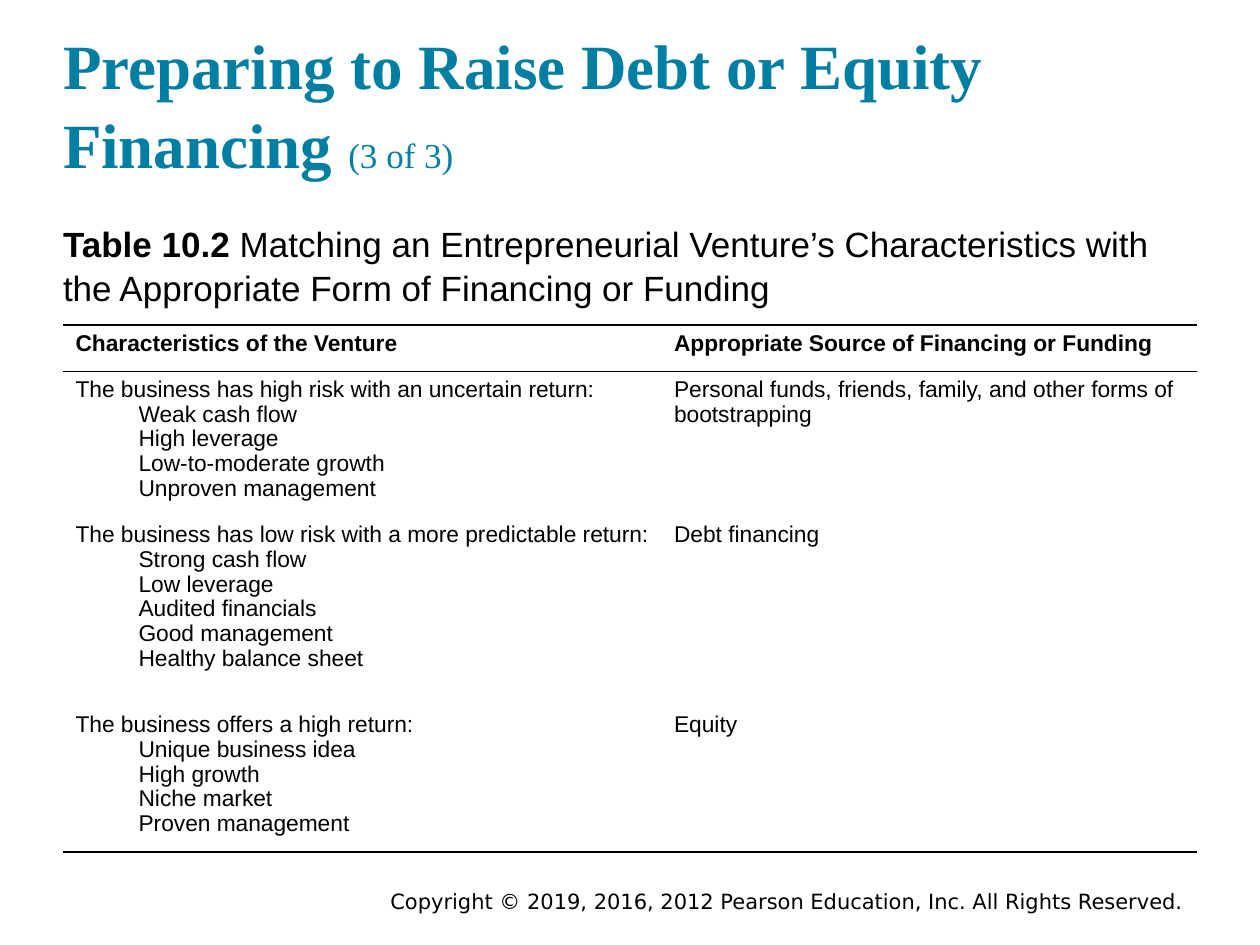
from lxml.etree import SubElement
from pptx import Presentation
from pptx.dml.color import RGBColor
from pptx.enum.text import MSO_ANCHOR, MSO_AUTO_SIZE, PP_ALIGN
from pptx.oxml.ns import qn
from pptx.util import Inches, Pt

COLORS = {"title": "007FA3", "text": "000000", "paper": "FFFFFF"}
FONTS = {"title": "Times New Roman", "body": "Arial", "footer": "DejaVu Sans"}
HEADERS = ["Characteristics of the Venture", "Appropriate Source of Financing or Funding"]
VENTURES = [
    ("The business has high risk with an uncertain return:",
     ["Weak cash flow", "High leverage", "Low-to-moderate growth", "Unproven management"],
     "Personal funds, friends, family, and other forms of bootstrapping"),
    ("The business has low risk with a more predictable return:",
     ["Strong cash flow", "Low leverage", "Audited financials", "Good management",
      "Healthy balance sheet"],
     "Debt financing"),
    ("The business offers a high return:",
     ["Unique business idea", "High growth", "Niche market", "Proven management"],
     "Equity"),
]


class SlideBuilder:
    """Holds the style and the current slide, with a method for each kind of element."""

    def __init__(self, width, height):
        self.deck = Presentation()
        self.deck.slide_width, self.deck.slide_height = Inches(width), Inches(height)
        self.page = self.deck.slides.add_slide(self.deck.slide_layouts[1])

    def area(self, left, top, width, height):
        across, down = self.deck.slide_width, self.deck.slide_height
        return int(left * across), int(top * down), int(width * across), int(height * down)

    def add_spans(self, para, spans, spacing=1.0, indent=0):
        properties = para._p.get_or_add_pPr()
        properties.set("marL", str(Inches(indent)))
        properties.set("indent", "0")
        layout = {"alignment": PP_ALIGN.LEFT, "line_spacing": spacing,
                  "space_before": Pt(0), "space_after": Pt(0)}
        for name, value in layout.items():
            setattr(para, name, value)
        SubElement(properties, qn("a:buNone"))
        for text, font, size, color, bold in spans:
            span = para.add_run()
            span.text = text
            values = {"name": FONTS[font], "size": Pt(size), "bold": bold}
            for name, value in values.items():
                setattr(span.font, name, value)
            span.font.color.rgb = RGBColor.from_string(COLORS[color])

    def placeholder(self, index, place, spans, anchor, spacing):
        box = self.page.placeholders[index]
        box.left, box.top, box.width, box.height = self.area(*place)
        frame = {"margin_left": 0, "margin_top": 0, "margin_right": 0, "margin_bottom": 0,
                 "word_wrap": True, "auto_size": MSO_AUTO_SIZE.NONE, "vertical_anchor": anchor}
        for name, value in frame.items():
            setattr(box.text_frame, name, value)
        self.add_spans(box.text_frame.paragraphs[0], spans, spacing)

    def footer(self, place, text):
        box = self.page.shapes.add_textbox(*self.area(*place))
        box.text_frame.word_wrap = True
        self.add_spans(box.text_frame.paragraphs[0], [(text, "footer", 12, "text", False)])

    def border(self, cell, sides):
        properties = cell._tc.get_or_add_tcPr()
        for place, side in enumerate(("lnL", "lnR", "lnT", "lnB")):
            line = properties.makeelement(qn(f"a:{side}"), {"w": str(Pt(1))})
            properties.insert(place, line)
            if side in sides:
                fill = SubElement(line, qn("a:solidFill"))
                SubElement(fill, qn("a:srgbClr"), val=COLORS["text"])
            else:
                SubElement(line, qn("a:noFill"))

    def fill_cell(self, cell, lines, bold, sides):
        cell.fill.solid()
        cell.fill.fore_color.rgb = RGBColor.from_string(COLORS["paper"])
        self.border(cell, sides)
        for number, text in enumerate(lines):
            frame = cell.text_frame
            para = frame.add_paragraph() if number else frame.paragraphs[0]
            self.add_spans(para, [(text, "body", 13, "text", bold)], 0.97, 0.5 if number else 0)

    def table(self, place, columns, heights, rows):
        grid = self.page.shapes.add_table(len(rows), len(columns), *self.area(*place)).table
        for column, width in zip(grid.columns, columns):
            column.width = Inches(width)
        for row, height in zip(grid.rows, heights):
            row.height = Inches(height)
        edges = {0: ("lnT", "lnB"), 1: ("lnT",), len(rows) - 1: ("lnB",)}
        for number, row in enumerate(rows):
            for column, lines in enumerate(row):
                self.fill_cell(grid.cell(number, column), lines, number == 0,
                               edges.get(number, ()))


def main():
    builder = SlideBuilder(10, 7.5)
    builder.footer((0.3, 7 / 7.5, 0.667, 0.04),
                   "Copyright © 2019, 2016, 2012 Pearson Education, Inc. All Rights Reserved.")
    builder.placeholder(
        0, (0.05, 0.24 / 7.5, 0.9, 0.16),
        [("Preparing to Raise Debt or Equity Financing ", "title", 36, "title", True),
         ("(3 of 3)", "title", 20, "title", False)], MSO_ANCHOR.BOTTOM, 1.05)
    builder.placeholder(
        1, (0.05, 1.75 / 7.5, 0.9, 0.1),
        [("Table 10.2 ", "body", 20, "text", True),
         ("Matching an Entrepreneurial Venture’s Characteristics with the "
          "Appropriate Form of Financing or Funding", "body", 20, "text", False)],
        MSO_ANCHOR.TOP, 1.05)
    rows = [[[header] for header in HEADERS]]
    rows += [[[trait, *signs], [source]] for trait, signs, source in VENTURES]
    builder.table((0.05, 2.58 / 7.5, 0.9, 4.08 / 7.5), (4.75, 4.25),
                  (0.37, 1.1, 1.51, 1.1), rows)
    builder.deck.save("out.pptx")


if __name__ == "__main__":
    main()
